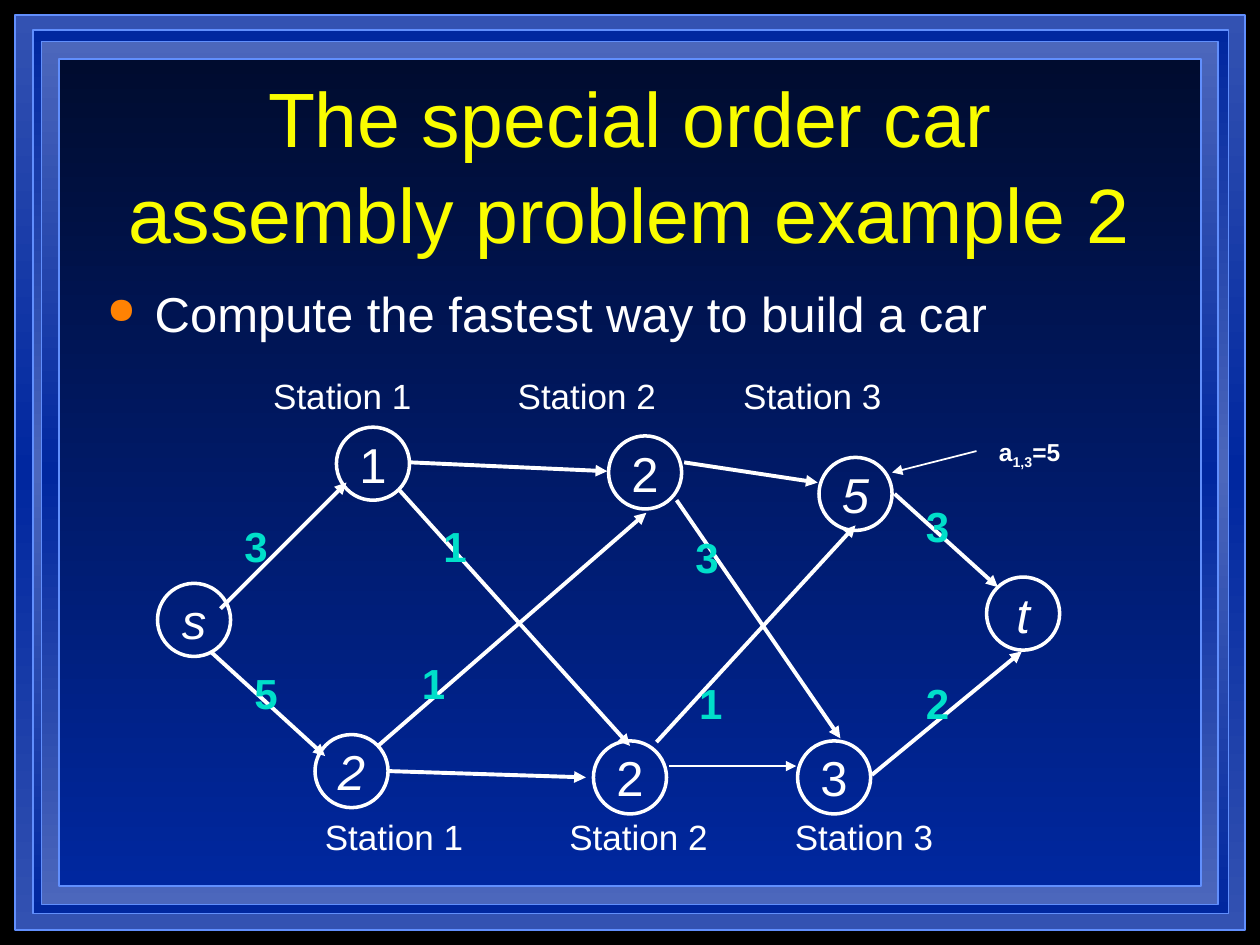
import copy

import lxml.etree
import pptx
import pptx.util
import pptx.dml.color
import pptx.enum.shapes
import pptx.enum.text
import pptx.oxml.ns

Inches = pptx.util.Inches
Pt = pptx.util.Pt
qn = pptx.oxml.ns.qn
Shapes = pptx.enum.shapes.MSO_SHAPE
Align = pptx.enum.text.PP_ALIGN
Anchor = pptx.enum.text.MSO_ANCHOR
RGB = pptx.dml.color.RGBColor.from_string
add_element = lxml.etree.SubElement

COLORS = {
    "black": "000000", "night": "000C2F", "blue": "00279F",
    "steel": "3352B2", "haze": "4C67BC", "edge": "618FFD",
    "yellow": "FAFD00", "white": "FFFFFF", "orange": "FF8203", "teal": "00DFCA",
}


def add_span(para, text, size, color="white", bold=False, italic=False):
    span = para.add_run()
    span.text = text
    span.font.name = "Arial"
    span.font.size = Pt(size)
    span.font.bold = bold
    span.font.italic = italic
    span.font.color.rgb = RGB(COLORS[color])
    return span


def add_box(left, top, width, height, wrap=True):
    """Add a text box and return its text frame."""
    box = page.shapes.add_textbox(Inches(left), Inches(top), Inches(width), Inches(height))
    box.text_frame.word_wrap = wrap
    return box.text_frame


deck = pptx.Presentation()
deck.slide_width = Inches(10)
deck.slide_height = Inches(7.5)
page = deck.slides.add_slide(deck.slide_layouts[6])
page.background.fill.solid()
page.background.fill.fore_color.rgb = RGB(COLORS["black"])

# Nested frames, outermost first, each with a vertical gradient
frames = [
    (0.12, 0.12, 9.76, 7.26, ["steel", "blue", "steel"]),
    (0.26, 0.24, 9.49, 7.01, ["blue", "haze", "blue"]),
    (0.33, 0.33, 9.34, 6.85, ["haze", "blue", "haze"]),
    (0.47, 0.47, 9.06, 6.56, ["night", "blue"]),
]
for left, top, width, height, shades in frames:
    frame = page.shapes.add_shape(
        Shapes.RECTANGLE, Inches(left), Inches(top), Inches(width), Inches(height))
    frame.shadow.inherit = False
    frame.line.color.rgb = RGB(COLORS["edge"])
    frame.line.width = Pt(1)
    frame.fill.gradient()
    frame.fill.gradient_angle = 270
    stop_list = frame._element.spPr.find(".//" + qn("a:gsLst"))
    while len(stop_list) < len(shades):
        stop_list.append(copy.deepcopy(stop_list[0]))
    for index, (stop, shade) in enumerate(zip(frame.fill.gradient_stops, shades)):
        stop.position = index / (len(shades) - 1)
        stop.color.rgb = RGB(COLORS[shade])

# Title
title = add_box(0.75, 0.67, 8.5, 1.25)
title.vertical_anchor = Anchor.MIDDLE
para = title.paragraphs[0]
para.alignment = Align.CENTER
para.line_spacing = 1.04
add_span(para, "The special order car assembly problem example 2", 44, "yellow")

# Bulleted task
para = add_box(0.75, 2.2, 8.5, 0.6).paragraphs[0]
properties = para._p.get_or_add_pPr()
properties.set("marL", str(Inches(0.38)))
properties.set("indent", str(-Inches(0.38)))
bullet_color = add_element(properties, qn("a:buClr"))
add_element(bullet_color, qn("a:srgbClr"), val=COLORS["orange"])
add_element(properties, qn("a:buSzPct"), val="75000")
add_element(properties, qn("a:buChar"), char="●")
add_span(para, "Compute the fastest way to build a car", 28)

# Graph nodes: left, top, label, italic
NODE_SIZE = 0.58
nodes = [
    (1.25, 4.63, "s", True), (7.83, 4.58, "t", True),
    (2.67, 3.39, "1", False), (4.83, 3.46, "2", False), (6.5, 3.63, "5", True),
    (2.5, 5.83, "2", True), (4.71, 5.88, "2", False), (6.33, 5.88, "3", False),
]
for left, top, label, italic in nodes:
    node = page.shapes.add_shape(
        Shapes.OVAL, Inches(left), Inches(top), Inches(NODE_SIZE), Inches(NODE_SIZE))
    node.shadow.inherit = False
    node.fill.background()
    node.line.color.rgb = RGB(COLORS["white"])
    node.line.width = Pt(2)
    node.text_frame.word_wrap = False
    node.text_frame.vertical_anchor = Anchor.MIDDLE
    para = node.text_frame.paragraphs[0]
    para.alignment = Align.CENTER
    add_span(para, label, 28, italic=italic)

# Arrows: start x, start y, end x, end y, line width
arrows = [
    (1.75, 4.83, 2.75, 3.83, 2.25), (1.67, 5.17, 2.58, 6, 2.25),
    (3.26, 3.67, 4.82, 3.74, 2.25), (3.17, 3.89, 5, 5.92, 2.25),
    (3.08, 6.12, 4.65, 6.17, 2.25), (3, 5.92, 5.13, 4.07, 2.25),
    (5.43, 3.67, 6.49, 3.83, 2.25), (5.37, 3.97, 6.67, 5.86, 2.25),
    (5.31, 6.08, 6.32, 6.08, 1), (5.21, 5.89, 6.79, 4.17, 2.25),
    (7.1, 3.92, 7.92, 4.66, 2.25), (6.92, 6.15, 8.11, 5.17, 2.25),
    (7.75, 3.58, 7.08, 3.75, 1),
]
for start_x, start_y, end_x, end_y, weight in arrows:
    arrow = page.shapes.add_connector(
        pptx.enum.shapes.MSO_CONNECTOR.STRAIGHT,
        Inches(start_x), Inches(start_y), Inches(end_x), Inches(end_y))
    arrow.line.color.rgb = RGB(COLORS["white"])
    arrow.line.width = Pt(weight)
    properties = arrow._element.spPr
    add_element(properties.find(qn("a:ln")), qn("a:tailEnd"), type="triangle")
    add_element(properties, qn("a:effectLst"))

# Transfer costs beside the arrows
costs = [
    (1.84, 4.08, "3"), (1.92, 5.25, "5"), (3.42, 4.08, "1"), (3.25, 5.17, "1"),
    (5.42, 4.17, "3"), (5.45, 5.33, "1"), (7.25, 3.92, "3"), (7.25, 5.33, "2"),
]
for left, top, cost in costs:
    para = add_box(left, top, 0.38, 0.5, wrap=False).paragraphs[0]
    add_span(para, cost, 24, "teal", bold=True)

# Station names above and below the graph
for left, top in [(2.07, 2.92), (2.48, 6.42)]:
    para = add_box(left, top, 5.04, 0.44).paragraphs[0]
    tab_list = add_element(para._p.get_or_add_pPr(), qn("a:tabLst"))
    for position in (1.94, 3.73):
        add_element(tab_list, qn("a:tab"), pos=str(Inches(position)), algn="l")
    add_span(para, "Station 1\tStation 2\tStation 3", 20)

# Note on the third station's cost
para = add_box(7.83, 3.42, 0.83, 0.37).paragraphs[0]
add_span(para, "a", 14, bold=True)
subscript = add_span(para, "1,3", 14, bold=True)
subscript._r.get_or_add_rPr().set("baseline", "-25000")
add_span(para, "=5", 14, bold=True)

deck.save("out.pptx")
